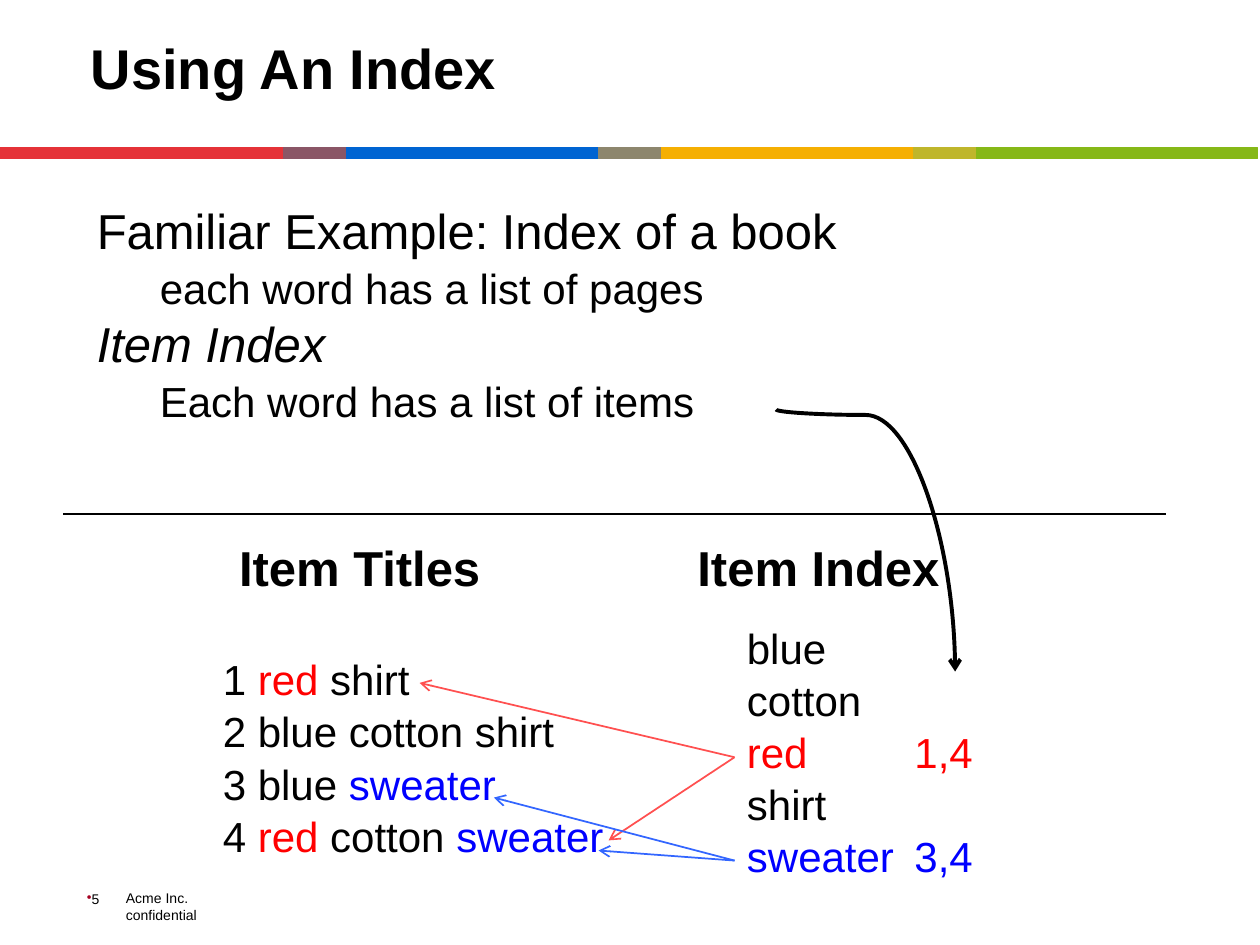
from itertools import pairwise

from lxml.etree import SubElement
from pptx import Presentation
from pptx.dml.color import RGBColor
from pptx.enum.shapes import MSO_CONNECTOR as LINK, MSO_SHAPE as SHAPE
from pptx.enum.text import MSO_ANCHOR as ANCHOR, PP_ALIGN as ALIGN
from pptx.oxml.ns import qn
from pptx.util import Inches, Pt

BLACK, RED, BLUE = "000000", "FF0000", "0000FF"
RED_ARROW, BLUE_ARROW = "FF5050", "3366FF"

TITLE = "Using An Index"
FOOTER = "Acme Inc. confidential"
PAGE_NUMBER = "5"
BAND_EDGES = [0, 2.25, 2.75, 4.75, 5.25, 7.25, 7.75, 9.98]
BAND_COLORS = ["E53238", "8A5666", "0064D2", "8D866D", "F5AF02", "BFB62B", "86B817"]

EXAMPLES = [
    [("Familiar Example: Index of a book", {"size": 28})],
    [("\teach word has a list of pages", {})],
    [("Item Index", {"size": 28, "italic": True})],
    [("\tEach word has a list of items", {})],
]
ITEM_TITLES = [
    [("1 ", {}), ("red", {"color": RED}), (" shirt", {})],
    [("2 blue cotton shirt", {})],
    [("3 blue ", {}), ("sweater", {"color": BLUE})],
    [("4 ", {}), ("red", {"color": RED}), (" cotton ", {}), ("sweater", {"color": BLUE})],
]
ITEM_INDEX = [
    [("blue", {})],
    [("cotton", {})],
    [("red\t1,4", {"color": RED})],
    [("shirt", {})],
    [("sweater\t3,4", {"color": BLUE})],
]
HEADINGS = [("Item Titles", 1.78), ("Item Index", 5.42)]
LOOKUPS = [
    (RED_ARROW, (5.83, 6.01), [(3.33, 5.42), (4.83, 6.67)]),
    (BLUE_ARROW, (5.83, 6.83), [(3.92, 6.33), (4.75, 6.75)]),
]


def rgb(value):
    return RGBColor.from_string(value)


def add_spans(para, spans, size=24, color=BLACK, bold=False, italic=False):
    defaults = {"size": size, "color": color, "bold": bold, "italic": italic}
    for text, changes in spans:
        style = defaults | changes
        span = para.add_run()
        span.text = text
        font = span.font
        font.name, font.size = "Arial", Pt(style["size"])
        font.bold, font.italic = style["bold"], style["italic"]
        font.color.rgb = rgb(style["color"])


def add_text(page, paragraphs, left, top, width, height, align=ALIGN.LEFT,
             anchor=ANCHOR.TOP, spaced=True, tab=None, **style):
    box = page.shapes.add_textbox(*map(Inches, (left, top, width, height)))
    frame = box.text_frame
    frame.word_wrap = True
    frame.vertical_anchor = anchor
    for index, spans in enumerate(paragraphs):
        para = frame.add_paragraph() if index else frame.paragraphs[0]
        para.alignment = align
        props = para._p.get_or_add_pPr()
        if spaced:
            para.line_spacing = 0.95
            after = SubElement(props, qn("a:spcAft"))
            SubElement(after, qn("a:spcPct"), val="10000")
        if tab:
            stops = SubElement(props, qn("a:tabLst"))
            SubElement(stops, qn("a:tab"), pos=str(Inches(tab)), algn="l")
        add_spans(para, spans, **style)
    return box


def add_bullet(para, color):
    props = para._p.get_or_add_pPr()
    props.set("marL", "0")
    props.set("indent", "0")
    SubElement(SubElement(props, qn("a:buClr")), qn("a:srgbClr"), val=color)
    SubElement(props, qn("a:buChar"), char="•")


def add_line(page, start, end, color, width=1, arrow=True, kind=LINK.STRAIGHT):
    line = page.shapes.add_connector(kind, *map(Inches, (*start, *end)))
    line.line.color.rgb = rgb(color)
    line.line.width = Pt(width)
    if arrow:
        SubElement(line.line._get_or_add_ln(), qn("a:tailEnd"), type="arrow")
    SubElement(line._element.spPr, qn("a:effectLst"))
    return line


def add_band(page):
    for (left, right), color in zip(pairwise(BAND_EDGES), BAND_COLORS):
        bar = page.shapes.add_shape(
            SHAPE.RECTANGLE, *map(Inches, (left, 1.17, right - left, 0.09)))
        bar.shadow.inherit = False
        bar.fill.solid()
        bar.fill.fore_color.rgb = bar.line.color.rgb = rgb(color)
        bar.line.width = Pt(0.75)


def add_title(page):
    title = page.shapes.title
    title.left, title.top, title.width, title.height = map(Inches, (0.62, 0.12, 8.88, 0.79))
    title.text_frame.vertical_anchor = ANCHOR.MIDDLE
    para = title.text_frame.paragraphs[0]
    para.alignment = ALIGN.LEFT
    para.line_spacing = 1.07
    add_spans(para, [(TITLE, {})], size=32, bold=True)


def add_curve(page):
    curve = add_line(page, (7.91, 3.58), (5.83, 5), BLACK, width=2.25, kind=LINK.CURVE)
    curve._element.spPr.find(qn("a:xfrm")).set("rot", str(270 * 60000))
    guides = curve._element.spPr.find(qn("a:prstGeom")).find(qn("a:avLst"))
    SubElement(guides, qn("a:gd"), name="adj1", fmla="val 2100")


def main():
    deck = Presentation()
    deck.slide_width, deck.slide_height = Inches(10), Inches(7.5)
    page = deck.slides.add_slide(deck.slide_layouts[5])
    add_text(page, [[(FOOTER, {})]], 0.9, 7.01, 1.19, 0.23, spaced=False, size=8)
    add_band(page)
    add_title(page)
    number = add_text(page, [[(PAGE_NUMBER, {})]], 0.59, 7, 0.35, 0.25,
                      anchor=ANCHOR.BOTTOM, spaced=False, size=8)
    add_bullet(number.text_frame.paragraphs[0], "A50021")
    for heading, left in HEADINGS:
        add_text(page, [[(heading, {})]], left, 4.25, 2.15, 0.55,
                 align=ALIGN.CENTER, size=28, bold=True)
    add_text(page, ITEM_TITLES, 1.67, 5.17, 3.58, 1.76)
    add_text(page, ITEM_INDEX, 5.83, 4.92, 2.04, 2.18, tab=1.33)
    for color, start, ends in LOOKUPS:
        for end in ends:
            add_line(page, start, end, color)
    add_line(page, (0.5, 4.08), (9.25, 4.08), BLACK, arrow=False)
    add_text(page, EXAMPLES, 0.67, 1.58, 7.5, 1.9)
    add_curve(page)
    deck.save("out.pptx")


if __name__ == "__main__":
    main()
